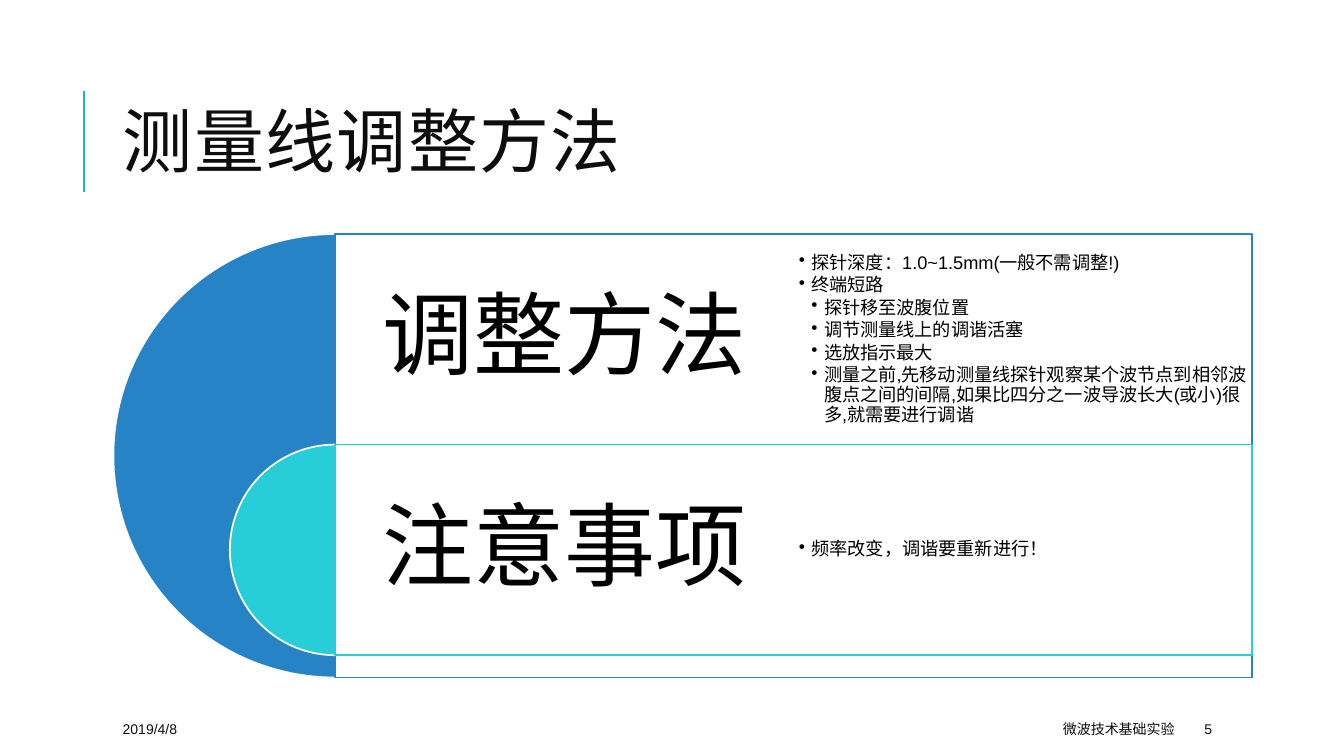
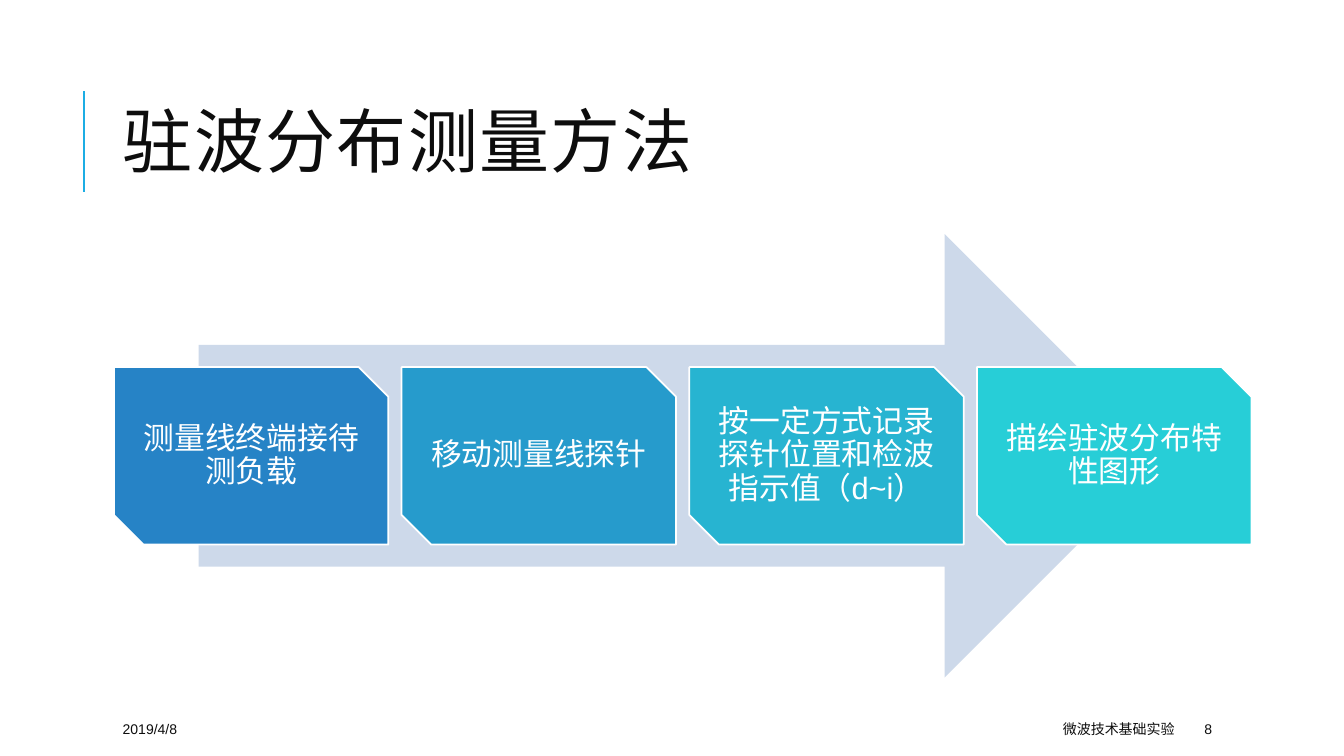
"""Build two slides of a microwave laboratory course."""
import pptx
import pptx.dml.color
import pptx.enum.shapes
import pptx.enum.text
import pptx.oxml
import pptx.oxml.ns
import pptx.util
from dataclasses import dataclass
from lxml import etree

Pt = pptx.util.Pt
SHAPES = pptx.enum.shapes.MSO_SHAPE
ALIGN = pptx.enum.text.PP_ALIGN
MIDDLE = pptx.enum.text.MSO_ANCHOR.MIDDLE
qn = pptx.oxml.ns.qn


@dataclass(frozen=True)
class Theme:
    """Colours, font, type sizes and line widths."""
    font: str = "Arial"
    ink: str = "0D0D0D"
    black: str = "000000"
    white: str = "FFFFFF"
    accent: str = "1CADE4"
    blue: str = "2683C6"
    azure: str = "269BCC"
    cyan: str = "27B4D1"
    turquoise: str = "27CED7"
    arrow: str = "CDD9EA"
    title_size: float = 50
    label_size: float = 65
    step_size: float = 22
    bullet_size: float = 13
    footer_size: float = 10
    accent_line: float = 1.5
    outline: float = 1.25


def rgb(value):
    """Turn a hex string into a colour."""
    return pptx.dml.color.RGBColor.from_string(value)


class Deck:
    """Hold the theme and the current slide, and draw elements on it."""

    def __init__(self, theme):
        """Start an empty wide presentation."""
        self.theme = theme
        self.presentation = pptx.Presentation()
        self.presentation.slide_width = Pt(960)
        self.presentation.slide_height = Pt(540)
        self.slide = None

    def new_slide(self, title, number):
        """Add a slide with its accent line, title and footer."""
        layout = self.presentation.slide_layouts[6]
        self.slide = self.presentation.slides.add_slide(layout)
        self.line(60, 136.8, 60, 64.8)
        heading = self.text(80.6, 46, 813.6, 118, [title],
                            self.theme.title_size, self.theme.ink, spacing=0.8)
        for run in heading.runs:
            run._r.get_or_add_rPr().set("spc", "100")
        footers = [(80.6, 170, "2019/4/8", ALIGN.LEFT),
                   (381.6, 464.4, "微波技术基础实验", ALIGN.RIGHT),
                   (853.2, 76, str(number), ALIGN.LEFT)]
        for left, width, words, align in footers:
            self.text(left, 509.8, width, 21.6, [words],
                      self.theme.footer_size, self.theme.ink, align=align)

    def line(self, x1, y1, x2, y2):
        """Draw an accent line."""
        connector = self.slide.shapes.add_connector(
            pptx.enum.shapes.MSO_CONNECTOR.STRAIGHT, Pt(x1), Pt(y1), Pt(x2), Pt(y2))
        connector.line.color.rgb = rgb(self.theme.accent)
        connector.line.width = Pt(self.theme.accent_line)
        etree.SubElement(connector._element.spPr, qn("a:effectLst"))

    def shape(self, kind, left, top, width, height, fill, outline=None, opacity=None):
        """Draw a filled preset shape; opacity is a percentage."""
        shape = self.slide.shapes.add_shape(kind, Pt(left), Pt(top), Pt(width), Pt(height))
        shape.shadow.inherit = False
        shape.fill.solid()
        shape.fill.fore_color.rgb = rgb(fill)
        if opacity:
            colour = shape._element.spPr.find(qn("a:solidFill"))[0]
            etree.SubElement(colour, qn("a:alpha")).set("val", str(opacity * 1000))
        if outline:
            shape.line.color.rgb = rgb(outline)
            shape.line.width = Pt(self.theme.outline)
        else:
            shape.line.fill.background()
        return shape

    def half_disc(self, centre, top, diameter, fill):
        """Draw the left half of a disc."""
        shape = self.shape(SHAPES.PIE, centre - diameter / 2, top, diameter, diameter,
                           fill, self.theme.white)
        shape.adjustments[0] = 54
        shape.adjustments[1] = 162

    def text(self, left, top, width, height, lines, size, colour, **options):
        """Add a text box and return its last paragraph."""
        box = self.slide.shapes.add_textbox(Pt(left), Pt(top), Pt(width), Pt(height))
        return self.fill_text(box.text_frame, lines, size, colour, **options)

    def fill_text(self, frame, lines, size, colour, align=ALIGN.LEFT, spacing=1.0,
                  inset=None, levels=None):
        """Fill a text frame; levels gives each line a bullet depth."""
        frame.word_wrap = True
        frame.vertical_anchor = MIDDLE
        if inset is not None:
            frame.margin_left = frame.margin_right = Pt(inset)
            frame.margin_top = frame.margin_bottom = Pt(inset)
        for index, words in enumerate(lines):
            paragraph = frame.add_paragraph() if index else frame.paragraphs[0]
            paragraph.text = words
            paragraph.alignment = align
            paragraph.line_spacing = spacing
            if levels:
                self.bullet(paragraph, levels[index])
            paragraph.font.name = self.theme.font
            paragraph.font.size = Pt(size)
            paragraph.font.color.rgb = rgb(colour)
        return paragraph

    def bullet(self, paragraph, level):
        """Give a paragraph a hanging bullet."""
        paragraph.space_after = Pt(2)
        properties = paragraph._p.get_or_add_pPr()
        properties.set("marL", str(Pt(9 * level)))
        properties.set("indent", str(-Pt(9)))
        etree.SubElement(properties, qn("a:buChar")).set("char", "•")


def build_adjustment(deck):
    """Build the slide on adjusting the slotted line."""
    theme = deck.theme
    deck.new_slide("测量线调整方法", 5)
    centre, top, diameter, row = 239.4, 167.2, 316.8, 150.4
    width = 655.2
    column = width / 2
    sections = [
        ("调整方法", diameter, theme.blue,
         [(1, "探针深度：1.0~1.5mm(一般不需调整!)"),
          (1, "终端短路"),
          (2, "探针移至波腹位置"),
          (2, "调节测量线上的调谐活塞"),
          (2, "选放指示最大"),
          (2, "测量之前,先移动测量线探针观察某个波节点到相邻波腹点之间的间隔,"
              "如果比四分之一波导波长大(或小)很多,就需要进行调谐")]),
        ("注意事项", row, theme.turquoise, [(1, "频率改变，调谐要重新进行！")]),
    ]
    for index, (label, height, colour, points) in enumerate(sections):
        y = top + index * row
        deck.half_disc(centre, y, height, colour)
        deck.shape(SHAPES.RECTANGLE, centre, y, width, height, theme.white, colour, 90)
        deck.text(centre, y, column, row, [label], theme.label_size, theme.black,
                  align=ALIGN.CENTER, spacing=0.9, inset=19.4)
        levels, lines = zip(*points)
        deck.text(centre + column, y, column, row, lines, theme.bullet_size,
                  theme.black, spacing=0.9, inset=3.6, levels=levels)


def build_measurement(deck):
    """Build the slide on measuring the standing wave."""
    theme = deck.theme
    deck.new_slide("驻波分布测量方法", 8)
    deck.shape(SHAPES.RIGHT_ARROW, 142, 167.2, 691.2, 316.8, theme.arrow)
    steps = [("测量线终端接待测负载", theme.blue),
             ("移动测量线探针", theme.azure),
             ("按一定方式记录探针位置和检波指示值（d~i）", theme.cyan),
             ("描绘驻波分布特性图形", theme.turquoise)]
    width, gap = 196, 9.5
    for index, (words, colour) in enumerate(steps):
        step = deck.shape(SHAPES.SNIP_2_DIAG_RECTANGLE, 81.4 + index * (width + gap),
                          262.2, width, 126.8, colour, theme.white)
        deck.fill_text(step.text_frame, [words], theme.step_size, theme.white,
                       align=ALIGN.CENTER, spacing=0.9, inset=6.6)


def main():
    """Build and save the presentation."""
    deck = Deck(Theme())
    build_adjustment(deck)
    build_measurement(deck)
    deck.presentation.save("out.pptx")


main()
